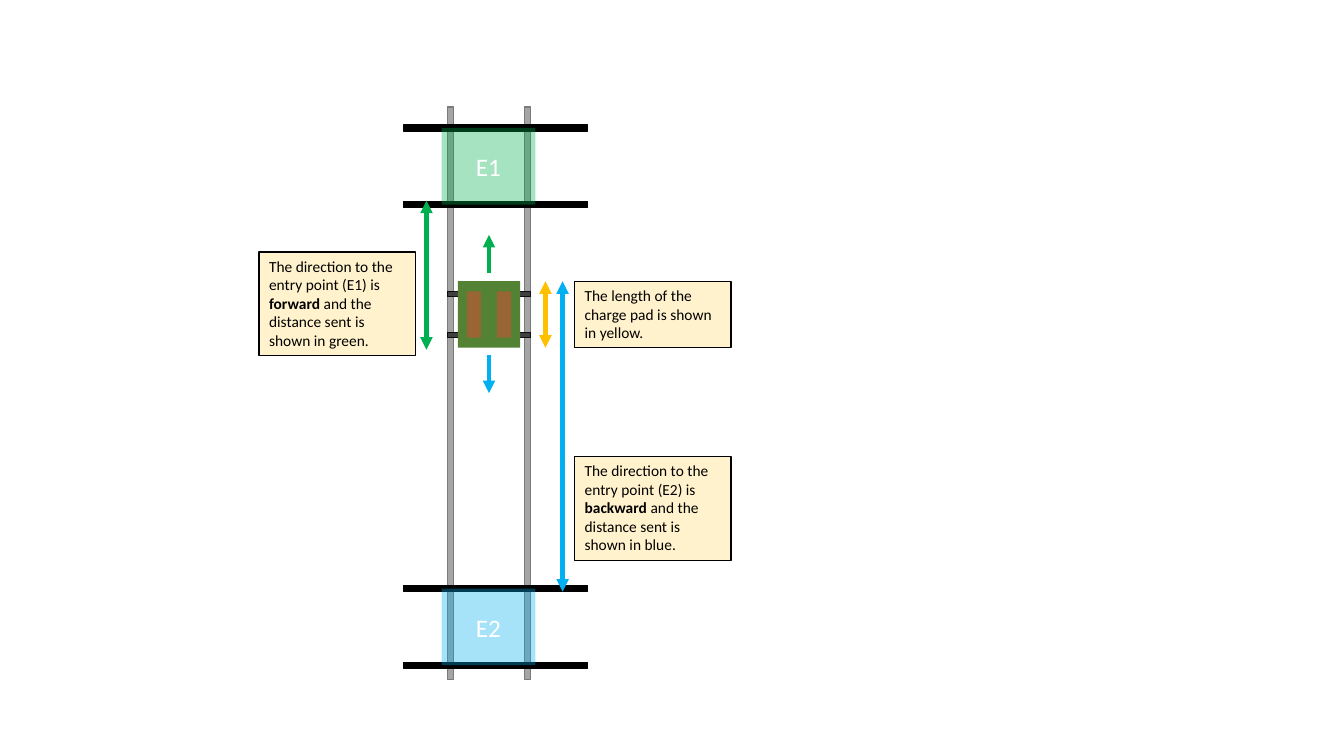
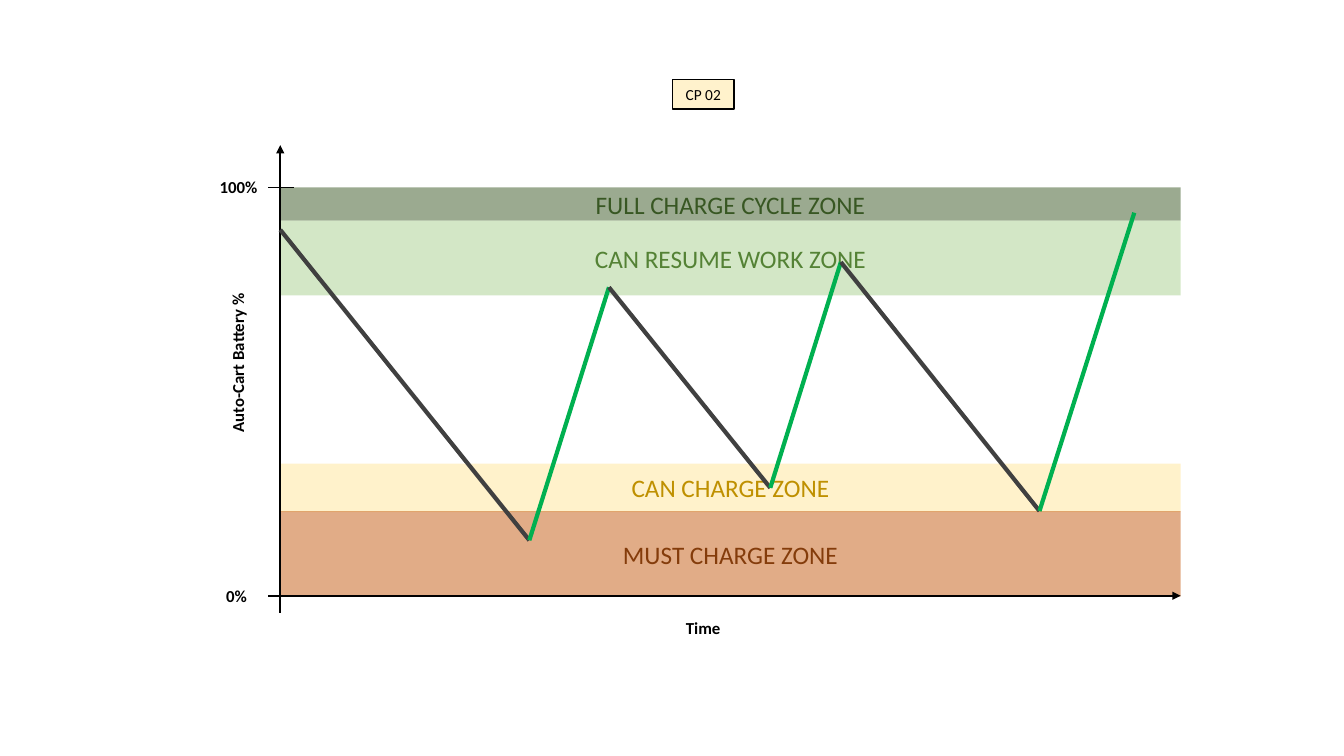
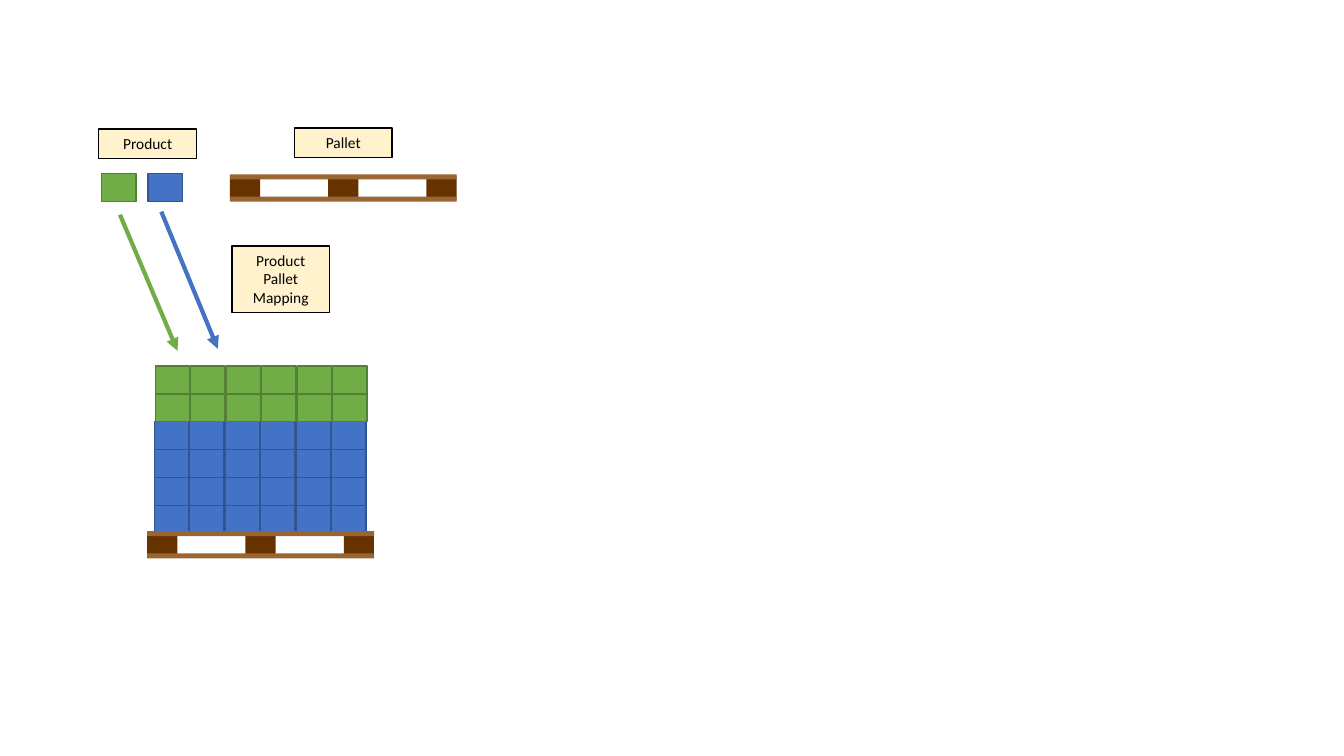
from dataclasses import dataclass

from lxml import etree
from pptx import Presentation
from pptx.dml.color import RGBColor
from pptx.enum.shapes import MSO_CONNECTOR, MSO_SHAPE
from pptx.enum.text import MSO_ANCHOR, MSO_AUTO_SIZE, PP_ALIGN
from pptx.oxml.ns import qn
from pptx.util import Inches, Pt

RECT = MSO_SHAPE.RECTANGLE
STRAIGHT = MSO_CONNECTOR.STRAIGHT
LEFT, CENTER = PP_ALIGN.LEFT, PP_ALIGN.CENTER
TOP, MIDDLE = MSO_ANCHOR.TOP, MSO_ANCHOR.MIDDLE
GROW = MSO_AUTO_SIZE.SHAPE_TO_FIT_TEXT
BLANK = 6


@dataclass(frozen=True)
class Theme:
    font: str = "Calibri"
    note_size: int = 11
    label_size: int = 12
    zone_size: int = 18
    thin: float = 0.5
    outline: float = 1
    axis: float = 1.5
    bold_line: float = 3
    black: str = "000000"
    white: str = "FFFFFF"
    note: str = "FFF2CC"
    rail: str = "A5A5A5"
    rail_edge: str = "7A7A7A"
    dark: str = "404040"
    axle_edge: str = "0D0D0D"
    green: str = "00B050"
    blue: str = "00B0F0"
    yellow: str = "FFC000"
    body: str = "548235"
    wood: str = "996633"
    block: str = "663300"
    product_a: tuple = ("70AD47", "538035")
    product_b: tuple = ("4472C4", "325491")
    full_zone: tuple = ("385723", "385723")
    resume_zone: tuple = ("A9D18E", "548235")
    can_zone: tuple = ("FFE699", "BF9000")
    must_zone: tuple = ("C55A11", "843C0B")


T = Theme()


# Shared drawing helpers
def rgb(value):
    return RGBColor.from_string(value)


def rect(parent, x, y, w, h, fill, edge=None, alpha=None):
    sp = parent.shapes.add_shape(RECT, Inches(x), Inches(y), Inches(w), Inches(h))
    sp.shadow.inherit = False
    sp.fill.solid()
    sp.fill.fore_color.rgb = rgb(fill)
    if alpha:
        color = sp.fill._xPr.find(qn("a:solidFill"))[0]
        etree.SubElement(color, qn("a:alpha")).set("val", str(alpha * 1000))
    if edge:
        sp.line.color.rgb = rgb(edge)
        sp.line.width = Pt(T.outline)
    else:
        sp.line.fill.background()
    return sp


def write(sp, parts, size, color=T.black, align=CENTER, anchor=TOP, bold=()):
    """Write the parts as runs of one paragraph; bold lists the bold parts."""
    tf = sp.text_frame
    tf.word_wrap = True
    tf.vertical_anchor = anchor
    p = tf.paragraphs[0]
    p.alignment = align
    for i, part in enumerate(parts):
        r = p.add_run()
        r.text = part
        r.font.name = T.font
        r.font.size = Pt(size)
        r.font.bold = i in bold
        r.font.color.rgb = rgb(color)


def note(s, x, y, w, h, *parts, align=CENTER, bold=()):
    sp = rect(s, x, y, w, h, T.note, T.black)
    write(sp, parts, T.note_size, align=align, bold=bold)
    sp.text_frame.auto_size = GROW


def label(s, x, y, w, text, rotation=0):
    sp = s.shapes.add_textbox(Inches(x), Inches(y), Inches(w), Inches(0.3))
    write(sp, [text], T.label_size, bold=[0])
    sp.text_frame.auto_size = GROW
    sp.rotation = rotation


def zone(s, x, y, w, h, text, fill, color, alpha):
    sp = rect(s, x, y, w, h, fill, alpha=alpha)
    write(sp, [text], T.zone_size, color, anchor=MIDDLE)


def line(s, start, end, color, width=T.bold_line, arrows=()):
    """Draw a line; arrows names its ends, headEnd before tailEnd."""
    cx = s.shapes.add_connector(STRAIGHT, *map(Inches, start + end))
    cx.line.color.rgb = rgb(color)
    cx.line.width = Pt(width)
    ln = cx.line._get_or_add_ln()
    for name in arrows:
        etree.SubElement(ln, qn("a:" + name)).set("type", "triangle")
    etree.SubElement(cx._element.spPr, qn("a:effectLst"))


ONE_WAY = ("tailEnd",)
BOTH_WAYS = ("headEnd", "tailEnd")


# Slide 1: charge pad between two entry points
def track(s, x, y, w, h):
    g = s.shapes.add_group_shape()
    rail = 0.06
    for left in (x, x + w - rail):
        rect(g, left, y, rail, h, T.rail, T.rail_edge)


def entry_point(s, x, y, w, text, color):
    g = s.shapes.add_group_shape()
    for top in (y, y + 0.76):
        rect(g, x, top, w, 0.06, T.black, T.black)
    zone(s, x + 0.38, y + 0.03, 0.93, 0.76, text, color, T.white, 35)


def vehicle(s, x, y, w, h):
    g = s.shapes.add_group_shape()
    for dy in (0.1, 0.51):
        rect(g, x - 0.1, y + dy, w + 0.2, 0.05, T.dark, T.axle_edge)
    rect(g, x, y, w, h, T.body)
    for dx in (0.09, 0.39):
        rect(g, x + dx, y + 0.1, 0.14, 0.46, T.wood)


def charge_pad_slide(prs):
    s = prs.slides.add_slide(prs.slide_layouts[BLANK])
    track(s, 4.44, 1.06, 0.82, 5.68)
    entry_point(s, 4, 1.24, 1.83, "E1", T.green)
    entry_point(s, 4, 5.81, 1.83, "E2", T.blue)
    vehicle(s, 4.54, 2.79, 0.62, 0.66)
    # Distances and directions
    line(s, (4.23, 3.47), (4.23, 1.99), T.green, arrows=BOTH_WAYS)
    line(s, (5.58, 2.79), (5.58, 5.87), T.blue, arrows=BOTH_WAYS)
    line(s, (5.41, 2.79), (5.41, 3.45), T.yellow, arrows=BOTH_WAYS)
    line(s, (4.85, 2.71), (4.85, 2.33), T.green, arrows=ONE_WAY)
    line(s, (4.85, 3.52), (4.85, 3.9), T.blue, arrows=ONE_WAY)
    # Explanations
    for x, y, entry, way, color in ((2.57, 2.5, "E1", "forward", "green"),
                                    (5.7, 4.53, "E2", "backward", "blue")):
        note(s, x, y, 1.55, 1.03, f"The direction to the entry point ({entry}) is ",
             way, f" and the distance sent is shown in {color}.",
             align=LEFT, bold=[1])
    note(s, 5.7, 2.79, 1.55, 0.66,
         "The length of the charge pad is shown in yellow.", align=LEFT)


# Slide 2: battery level over time
def battery_diagram(s, x, y, w, h):
    base = y + h
    # Charge zones, by distance from the 100% level
    for dy, height, text, colors in (
            (0, 0.33, "FULL CHARGE CYCLE ZONE", T.full_zone),
            (0.33, 0.74, "CAN RESUME WORK ZONE", T.resume_zone),
            (2.74, 0.48, "CAN CHARGE ZONE", T.can_zone),
            (3.21, 0.85, "MUST CHARGE ZONE", T.must_zone)):
        zone(s, x, y + dy, w, height, text, *colors, 50)
    # Axes, 100% tick and labels
    line(s, (x, base + 0.17), (x, y - 0.42), T.black, T.axis, ONE_WAY)
    line(s, (x - 0.12, base), (x + w, base), T.black, T.axis, ONE_WAY)
    line(s, (x - 0.12, y), (x + 0.14, y), T.black, T.thin)
    label(s, x + 3.53, base + 0.17, 1.33, "Time")
    label(s, x - 1.72, y + 1.59, 2.59, "Auto-Cart Battery %", 270)
    label(s, x - 0.86, base - 0.15, 0.85, "0%")
    label(s, x - 0.84, y - 0.16, 0.85, "100%")
    # Level: discharging and charging in turn
    turns = [(0, 0.42), (2.47, 3.5), (3.26, 0.99), (4.86, 2.98),
             (5.56, 0.74), (7.53, 3.21), (8.47, 0.25)]
    points = [(x + dx, y + dy) for dx, dy in turns]
    for i, (start, end) in enumerate(zip(points, points[1:])):
        line(s, start, end, T.green if i % 2 else T.dark)


def battery_slide(prs):
    s = prs.slides.add_slide(prs.slide_layouts[BLANK])
    note(s, 6.67, 0.79, 0.61, 0.29, "CP 02")
    battery_diagram(s, 2.78, 1.86, 8.93, 4.05)


# Slide 3: products mapped to a pallet
BOX_W, BOX_H = 0.34, 0.28


def pallet(s, x, y, w, h):
    g = s.shapes.add_group_shape()
    block, board = 0.3, 0.05
    for i in range(3):
        rect(g, x + i * (w - block) / 2, y + 0.02, block, 0.23, T.block)
    for top in (y, y + h - board):
        rect(g, x, top, w, board, T.wood)


def stack(s, x, y, w, h, rows, cols, colors):
    g = s.shapes.add_group_shape()
    dx, dy = (w - BOX_W) / (cols - 1), (h - BOX_H) / (rows - 1)
    for row in reversed(range(rows)):
        for col in range(cols):
            rect(g, x + col * dx, y + row * dy, BOX_W, BOX_H, *colors)


def pallet_slide(prs):
    s = prs.slides.add_slide(prs.slide_layouts[BLANK])
    # Products and empty pallet
    note(s, 0.98, 1.28, 0.97, 0.29, "Product")
    note(s, 2.92, 1.27, 0.97, 0.29, "Pallet")
    rect(s, 1.01, 1.72, BOX_W, BOX_H, *T.product_a)
    rect(s, 1.47, 1.72, BOX_W, BOX_H, *T.product_b)
    pallet(s, 2.28, 1.73, 2.25, 0.27)
    # Loaded pallet
    stack(s, 1.53, 4.18, 2.1, 1.11, 4, 6, T.product_b)
    stack(s, 1.54, 3.63, 2.1, 0.55, 2, 6, T.product_a)
    pallet(s, 1.46, 5.27, 2.25, 0.27)
    # Mapping
    line(s, (1.19, 2.13), (1.76, 3.48), T.product_a[0], arrows=ONE_WAY)
    line(s, (1.6, 2.1), (2.16, 3.46), T.product_b[0], arrows=ONE_WAY)
    note(s, 2.3, 2.44, 0.97, 0.66, "Product Pallet Mapping")


def main():
    prs = Presentation()
    prs.slide_width, prs.slide_height = Inches(13.33), Inches(7.5)
    charge_pad_slide(prs)
    battery_slide(prs)
    pallet_slide(prs)
    prs.save("out.pptx")


if __name__ == "__main__":
    main()
